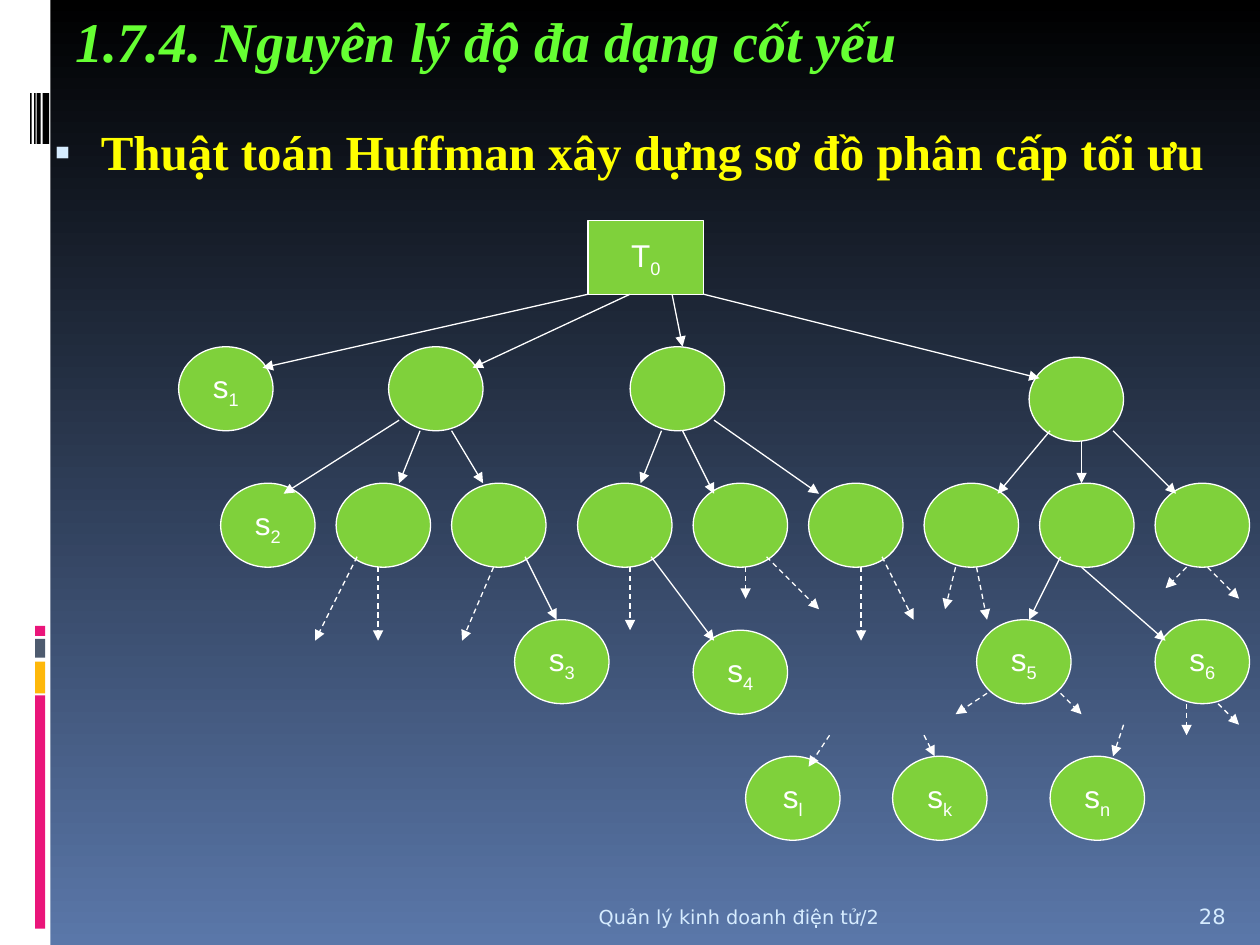
from lxml import etree
from pptx import Presentation
from pptx.dml.color import RGBColor
from pptx.enum.dml import MSO_LINE
from pptx.enum.shapes import MSO_CONNECTOR, MSO_SHAPE
from pptx.enum.text import MSO_ANCHOR, MSO_AUTO_SIZE, PP_ALIGN
from pptx.oxml.ns import qn
from pptx.util import Cm, Pt

RECTANGLE, OVAL = MSO_SHAPE.RECTANGLE, MSO_SHAPE.OVAL
STRAIGHT, DASH = MSO_CONNECTOR.STRAIGHT, MSO_LINE.DASH
TOP, MIDDLE, BOTTOM = MSO_ANCHOR.TOP, MSO_ANCHOR.MIDDLE, MSO_ANCHOR.BOTTOM
LEFT, CENTER, RIGHT = PP_ALIGN.LEFT, PP_ALIGN.CENTER, PP_ALIGN.RIGHT
NO_AUTOFIT = MSO_AUTO_SIZE.NONE

WHITE, BLACK, GREEN, PALE = "FFFFFF", "000000", "7FD13B", "D6ECFF"
MAGENTA, AMBER, SLATE = "EA157A", "FEB80A", "4E5B6F"
LINE_WIDTH = Pt(0.75)

TITLE_FORMAT = {"name": "Times New Roman", "size": Pt(32), "bold": True, "italic": True}
BODY_FORMAT = {"name": "Times New Roman", "size": Pt(28), "bold": True}
NODE_FORMAT = {"name": "Arial", "size": Pt(18)}
FOOTER_FORMAT = {"name": "DejaVu Sans", "size": Pt(11)}
NUMBER_FORMAT = {"name": "DejaVu Sans", "size": Pt(12)}

# The tree is measured in twelfths of an inch from the corner of its box.
UNIT = 2.54 / 12
NODE_SIZE = (9, 8)
ROOT = (39, 0, 11, 7)
LABELLED_NODES = {
    "1": (0, 12), "2": (4, 25), "3": (32, 38), "4": (49, 39), "5": (76, 38),
    "6": (93, 38), "l": (54, 51), "k": (68, 51), "n": (83, 51),
}
PLAIN_NODES = [(20, 12), (43, 12), (81, 13)]
PLAIN_NODES += [(start + 11 * step, 25) for start, count in ((15, 2), (38, 6)) for step in range(count)]
SOLID_ARROWS = [
    (39, 7, 8, 14), (43, 7, 28, 14), (47, 7, 48, 12), (50, 7, 82, 15),
    (21, 19, 10, 26), (23, 20, 21, 25), (26, 20, 29, 25),
    (46, 20, 44, 25), (48, 20, 51, 26), (51, 19, 61, 26),
    (83, 20, 78, 26), (86, 21, 86, 25), (89, 20, 95, 26),
    (33, 32, 36, 38), (45, 32, 51, 40), (84, 32, 81, 38), (86, 33, 94, 40),
]
DASHED_ARROWS = [
    (17, 32, 13, 40), (19, 33, 19, 40), (30, 33, 27, 40), (43, 33, 43, 39),
    (54, 33, 54, 36), (56, 32, 61, 37), (65, 33, 65, 40), (67, 32, 70, 38),
    (74, 33, 73, 37), (76, 33, 77, 38), (96, 33, 94, 35), (98, 33, 101, 36),
    (62, 49, 60, 52), (71, 49, 72, 51), (90, 48, 89, 51), (77, 45, 74, 47),
    (84, 45, 86, 47), (96, 46, 96, 49), (99, 46, 101, 48),
]


def color(hex_value):
    return RGBColor.from_string(hex_value)


def place(shape, box):
    for name, value in zip(("left", "top", "width", "height"), box):
        setattr(shape, name, Cm(value))


def add_run(paragraph, text, font_format, hex_value):
    run = paragraph.add_run()
    run.text = text
    for name, value in font_format.items():
        setattr(run.font, name, value)
    run.font.color.rgb = color(hex_value)
    return run


def set_frame(shape, anchor, alignment, wrap=True):
    """Set up the text frame and return its first paragraph."""
    frame = shape.text_frame
    frame.auto_size = NO_AUTOFIT
    frame.word_wrap = wrap
    frame.vertical_anchor = anchor
    paragraph = frame.paragraphs[0]
    paragraph.alignment = alignment
    paragraph.space_before = Pt(0)
    return paragraph


def add_filled_shape(slide, kind, box, hex_value):
    shape = slide.shapes.add_shape(kind, *map(Cm, box))
    shape.shadow.inherit = False
    shape.fill.solid()
    shape.fill.fore_color.rgb = color(hex_value)
    return shape


def set_background(slide):
    fill = slide.background.fill
    fill.gradient()
    fill.gradient_angle = 270
    for stop, hex_value in zip(fill.gradient_stops, (BLACK, "5A77A9")):
        stop.color.rgb = color(hex_value)


def draw_side_rail(slide, box):
    left, top, width, height = box
    bars = [(0, 0, width, height, WHITE)]
    bars += [(0.71, y, 0.2, bar_height, fill) for y, bar_height, fill in (
        (14.02, 4.7, MAGENTA), (13.34, 0.64, AMBER), (12.88, 0.38, SLATE), (12.62, 0.2, MAGENTA))]
    bars += [(x, 1.88, bar_width, 1.02, BLACK) for x, bar_width in (
        (0.86, 0.13), (0.74, 0.08), (0.69, 0.03), (0.61, 0.03))]
    for x, y, bar_width, bar_height, fill in bars:
        bar = add_filled_shape(slide, RECTANGLE, (left + x, top + y, bar_width, bar_height), fill)
        bar.line.fill.background()
        slide.shapes.title.element.addprevious(bar.element)


def fill_title(slide, box):
    title = slide.shapes.title
    place(title, box)
    paragraph = set_frame(title, TOP, LEFT)
    add_run(paragraph, "1.7.4. Nguyên lý độ đa dạng cốt yếu", TITLE_FORMAT, "66FF33")


def fill_body(slide, box):
    body = slide.placeholders[1]
    place(body, box)
    paragraph = set_frame(body, TOP, LEFT)
    properties = paragraph._p.get_or_add_pPr()
    properties.set("marL", str(Cm(1.14)))
    properties.set("indent", str(Cm(-0.94)))
    bullet_color = etree.SubElement(properties, qn("a:buClr"))
    etree.SubElement(bullet_color, qn("a:srgbClr"), val=PALE)
    etree.SubElement(properties, qn("a:buSzPct"), val="95000")
    etree.SubElement(properties, qn("a:buChar"), char="▪")
    add_run(paragraph, "Thuật toán Huffman xây dựng sơ đồ phân cấp tối ưu", BODY_FORMAT, "FFFF00")


def add_node(slide, kind, box, letter="", subscript=""):
    node = add_filled_shape(slide, kind, box, GREEN)
    node.line.color.rgb = color(WHITE)
    node.line.width = LINE_WIDTH
    if letter:
        paragraph = set_frame(node, MIDDLE, CENTER, wrap=False)
        add_run(paragraph, letter, NODE_FORMAT, WHITE)
        index = add_run(paragraph, subscript, NODE_FORMAT, WHITE)
        index._r.get_or_add_rPr().set("baseline", "-25000")


def add_arrow(slide, ends, dashed):
    arrow = slide.shapes.add_connector(STRAIGHT, *map(Cm, ends))
    arrow.line.color.rgb = color(WHITE)
    arrow.line.width = LINE_WIDTH
    if dashed:
        arrow.line.dash_style = DASH
    properties = arrow.element.spPr
    etree.SubElement(properties.find(qn("a:ln")), qn("a:tailEnd"), type="triangle")
    etree.SubElement(properties, qn("a:effectLst"))


def draw_tree(slide, box):
    left, top = box[:2]

    def point(x, y):
        return left + x * UNIT, top + y * UNIT

    def node_box(x, y, width=NODE_SIZE[0], height=NODE_SIZE[1]):
        return (*point(x, y), width * UNIT, height * UNIT)

    add_node(slide, RECTANGLE, node_box(*ROOT), "T", "0")
    for position in PLAIN_NODES:
        add_node(slide, OVAL, node_box(*position))
    for subscript, position in LABELLED_NODES.items():
        add_node(slide, OVAL, node_box(*position), "s", subscript)
    for arrows, dashed in ((SOLID_ARROWS, False), (DASHED_ARROWS, True)):
        for ends in arrows:
            add_arrow(slide, point(*ends[:2]) + point(*ends[2:]), dashed)


def add_footer_text(slide, box, text, alignment, font_format):
    text_box = slide.shapes.add_textbox(*map(Cm, box))
    add_run(set_frame(text_box, BOTTOM, alignment), text, font_format, PALE)


def main():
    presentation = Presentation()
    presentation.slide_width, presentation.slide_height = Cm(25.4), Cm(19.05)
    slide = presentation.slides.add_slide(presentation.slide_layouts[1])
    set_background(slide)
    draw_side_rail(slide, (0, 0, 1.02, 19.05))
    fill_title(slide, (1.27, 0, 22.86, 2.12))
    fill_body(slide, (0.64, 2.33, 24.13, 14.68))
    add_footer_text(slide, (2.54, 17.83, 15.44, 1.02), "Quản lý kinh doanh điện tử/2", RIGHT, FOOTER_FORMAT)
    add_footer_text(slide, (23.92, 17.83, 1.27, 1.02), "28", LEFT, NUMBER_FORMAT)
    draw_tree(slide, (3.6, 4.45, 21.59, 12.49))
    presentation.save("out.pptx")


if __name__ == "__main__":
    main()
